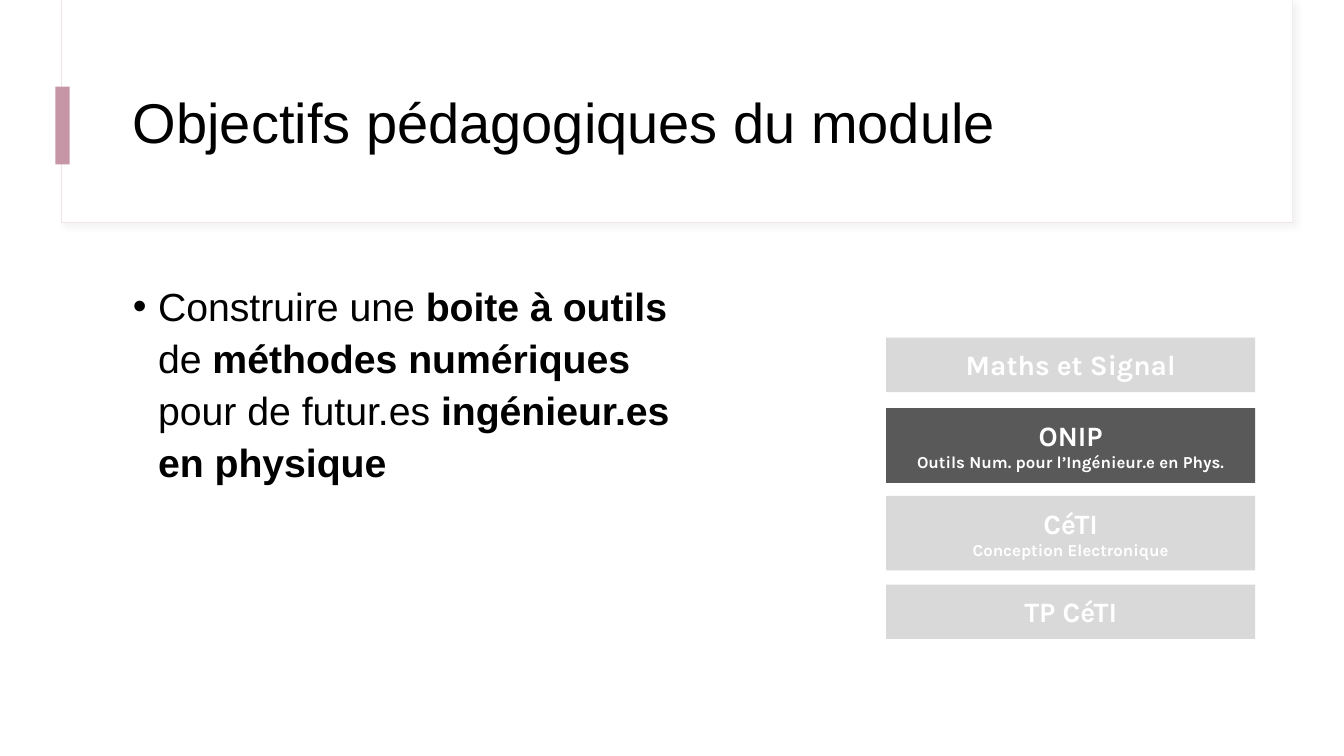
from lxml import etree
from pptx import Presentation
from pptx.dml.color import RGBColor
from pptx.enum.shapes import MSO_SHAPE
from pptx.enum.text import MSO_ANCHOR, PP_ALIGN
from pptx.oxml.ns import qn
from pptx.util import Inches, Pt

RECT = MSO_SHAPE.RECTANGLE
TOP, MIDDLE = MSO_ANCHOR.TOP, MSO_ANCHOR.MIDDLE
LEFT, CENTER = PP_ALIGN.LEFT, PP_ALIGN.CENTER

WHITE = RGBColor(0xFF, 0xFF, 0xFF)
BLACK = RGBColor(0x00, 0x00, 0x00)
BLUSH = RGBColor(0xF0, 0xE5, 0xE5)
MAUVE = RGBColor(0xC6, 0x96, 0xA7)
PALE = RGBColor(0xD9, 0xD9, 0xD9)
DARK = RGBColor(0x59, 0x59, 0x59)


class Deck:
    body_font = "Arial"
    card_font = "Karla"

    def __init__(self):
        self.prs = Presentation()
        self.prs.slide_width = Inches(13.33)
        self.prs.slide_height = Inches(7.5)
        self.slide = self.prs.slides.add_slide(self.prs.slide_layouts[6])

    def place(self, x, y, w, h):
        wide = self.prs.slide_width / 100
        high = self.prs.slide_height / 100
        return int(x * wide), int(y * high), int(w * wide), int(h * high)

    def rect(self, area, fill, line=None):
        box = self.slide.shapes.add_shape(RECT, *self.place(*area))
        box.shadow.inherit = False
        box.fill.solid()
        box.fill.fore_color.rgb = fill
        if line is None:
            box.line.fill.background()
        else:
            box.line.color.rgb = line
            box.line.width = Pt(0.75)
        return box

    def shade(self, box, color, blur, dist, angle, alpha):
        effects = box.element.spPr.find(qn("a:effectLst"))
        outer = etree.SubElement(
            effects, qn("a:outerShdw"), blurRad=str(Pt(blur)),
            dist=str(Pt(dist)), dir=str(angle * 60000), algn="tl", rotWithShape="0")
        tint = etree.SubElement(outer, qn("a:srgbClr"), val=str(color))
        etree.SubElement(tint, qn("a:alpha"), val=str(alpha * 1000))

    def fill_para(self, para, runs, font, color, align=LEFT, lead=1.0):
        para.alignment = align
        para.line_spacing = lead
        for text, size, bold in runs:
            if text == "\n":
                para.add_line_break()
                continue
            run = para.add_run()
            run.text = text
            run.font.name = font
            run.font.size = Pt(size)
            run.font.bold = bold
            run.font.color.rgb = color

    def text(self, area, runs, anchor, lead):
        box = self.slide.shapes.add_textbox(*self.place(*area))
        frame = box.text_frame
        frame.word_wrap = True
        frame.vertical_anchor = anchor
        para = frame.paragraphs[0]
        self.fill_para(para, runs, self.body_font, BLACK, lead=lead)
        return para

    def bullet(self, para, indent):
        props = para._p.get_or_add_pPr()
        props.set("marL", str(Inches(indent)))
        props.set("indent", str(-Inches(indent)))
        etree.SubElement(props, qn("a:buFont"), typeface=self.body_font)
        etree.SubElement(props, qn("a:buChar"), char="•")

    def card(self, area, fill, paras):
        frame = self.rect(area, fill).text_frame
        frame.word_wrap = True
        frame.vertical_anchor = TOP
        frame.margin_left = frame.margin_right = Inches(0.1)
        frame.margin_top = frame.margin_bottom = Inches(0.1)
        for i, runs in enumerate(paras):
            para = frame.add_paragraph() if i else frame.paragraphs[0]
            self.fill_para(para, runs, self.card_font, WHITE, CENTER)


def main():
    deck = Deck()

    frame = deck.rect((4.58, 0, 91.6, 29.47), WHITE, BLUSH)
    deck.shade(frame, PALE, blur=4, dist=3, angle=45, alpha=30)
    deck.rect((4.65, 0, 91.52, 29.33), WHITE)
    deck.rect((4.13, 11.47, 1.05, 10.27), MAUVE)

    title = [("Objectifs pédagogiques du module", 40, False)]
    deck.text((9.15, 8, 83.42, 17.2), title, MIDDLE, 0.9)

    cards = [
        (44.67, 7.2, PALE, [[("Maths et Signal", 20, True)]]),
        (54, 9.87, DARK, [[("ONIP", 20, True), ("\n", 20, True),
                           ("Outils Num. pour l’Ingénieur.e en Phys.", 12, True)]]),
        (65.6, 9.87, PALE, [[("CéTI", 20, True)],
                            [("Conception Electronique", 12, True)]]),
        (77.33, 7.2, PALE, [[("TP CéTI", 20, True)]]),
    ]
    for top, high, fill, paras in cards:
        deck.card((65.94, top, 27.46, high), fill, paras)

    goal = [
        ("Construire une ", 28, False),
        ("boite à outils ", 28, True),
        ("de ", 28, False),
        ("méthodes numériques ", 28, True),
        ("pour de futur.es ", 28, False),
        ("ingénieur.es en physique", 28, True),
    ]
    para = deck.text((9.15, 36.13, 43.74, 53.87), goal, TOP, 1.1)
    deck.bullet(para, 0.25)

    deck.prs.save("out.pptx")


if __name__ == "__main__":
    main()
